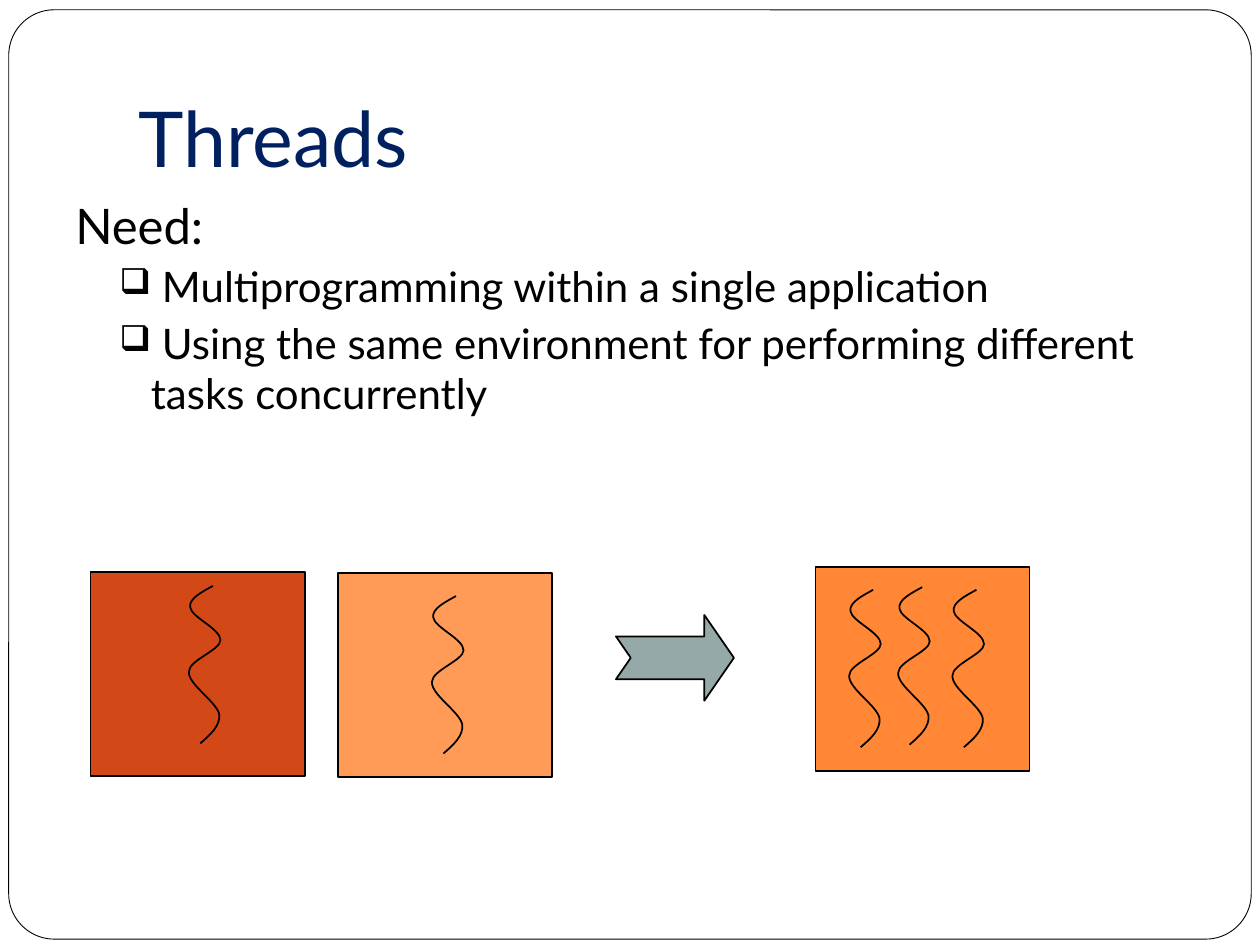
from lxml.etree import SubElement
from pptx import Presentation
from pptx.dml.color import RGBColor
from pptx.enum.shapes import MSO_SHAPE as Shape
from pptx.enum.text import MSO_ANCHOR as Anchor
from pptx.oxml.ns import qn
from pptx.util import Pt

BLACK = RGBColor(0x00, 0x00, 0x00)
WHITE = RGBColor(0xFF, 0xFF, 0xFF)
NAVY = RGBColor(0x00, 0x20, 0x60)
RUST = RGBColor(0xD3, 0x48, 0x17)
PEACH = RGBColor(0xFF, 0x9B, 0x57)
ORANGE = RGBColor(0xFF, 0x87, 0x35)
GREY = RGBColor(0x96, 0xA9, 0xA9)
FONT = "Lato"

# Content
TITLE = "Threads"
LEAD = "Need:"
NEEDS = [
    " Multiprogramming within a single application",
    " Using the same environment for performing different tasks concurrently",
]

# Processes: left, top, fill, and the start of each thread
BOX_W, BOX_H = 122.4, 116.6
TASKS = [
    (51.8, 326.9, RUST, [(121.7, 334.8)]),
    (193, 327.6, PEACH, [(260.6, 340.6)]),
    (466, 324, ORANGE, [(499, 337), (527, 335.5), (558, 337)]),
]

# Bezier points of a thread, three to a curve, from its start
WAVE = [
    (-6.5, 3.6), (-13.7, 7.2), (-13, 12.2),
    (-12.2, 18), (4.3, 24.5), (4.3, 31),
    (4.3, 36.7), (-13.7, 42.5), (-13.7, 49),
    (-14.4, 56.2), (2.2, 66.2), (3.6, 73.4),
    (4.3, 79.9), (-1.4, 85), (-7.2, 90),
]

deck = Presentation()
deck.slide_width, deck.slide_height = Pt(720), Pt(540)
slide = deck.slides.add_slide(deck.slide_layouts[6])
shapes = slide.shapes


def add_box(kind, x, y, w, h, fill, line=1):
    box = shapes.add_shape(kind, Pt(x), Pt(y), Pt(w), Pt(h))
    box.shadow.inherit = False
    box.fill.solid()
    box.fill.fore_color.rgb = fill
    box.line.color.rgb = BLACK
    box.line.width = Pt(line)
    return box


def add_frame(x, y, w, h):
    frame = shapes.add_textbox(Pt(x), Pt(y), Pt(w), Pt(h)).text_frame
    frame.word_wrap = True
    return frame


def style(para, size, color):
    font = para.font
    font.name, font.size = FONT, Pt(size)
    font.color.rgb = color


def indent(para, left, first):
    props = para._p.get_or_add_pPr()
    props.set("marL", str(Pt(left)))
    props.set("indent", str(Pt(first)))
    return props


def add_thread(x, y):
    pen = shapes.build_freeform(Pt(x), Pt(y))
    pen.add_line_segments([(Pt(x + dx), Pt(y + dy)) for dx, dy in WAVE], close=False)
    wave = pen.convert_to_shape()
    wave.shadow.inherit = False
    wave.fill.background()
    wave.line.color.rgb = BLACK
    wave.line.width = Pt(1)
    # Turn each three line segments into one curve
    path = next(wave._element.iter(qn("a:path")))
    lines = path.findall(qn("a:lnTo"))
    for i in range(0, len(lines), 3):
        curve = SubElement(path, qn("a:cubicBezTo"))
        for line in lines[i:i + 3]:
            curve.append(line[0])
            path.remove(line)


# Slide border
border = add_box(Shape.ROUNDED_RECTANGLE, 5, 5.6, 710, 531, WHITE, 0.5)
border.adjustments[0] = 0.049

# Title
head = add_frame(72, 21.6, 612, 90)
head.vertical_anchor = Anchor.BOTTOM
head.margin_bottom = Pt(7.2)
head.text = TITLE
style(head.paragraphs[0], 44, NAVY)

# Needs
body = add_frame(36, 108, 643.7, 182)
body.text = LEAD
indent(body.paragraphs[0], 21.6, -21.6)
style(body.paragraphs[0], 28, BLACK)
for need in NEEDS:
    para = body.add_paragraph()
    para.text = need
    para.level = 1
    para.space_before = Pt(3.7)
    props = indent(para, 43.2, -18)
    tint = SubElement(props, qn("a:buClr"))
    SubElement(tint, qn("a:srgbClr"), val=str(BLACK))
    SubElement(props, qn("a:buSzPct"), val="85000")
    SubElement(props, qn("a:buChar"), char="❑")
    style(para, 24, BLACK)

# Processes with their threads
for x, y, fill, starts in TASKS:
    add_box(Shape.RECTANGLE, x, y, BOX_W, BOX_H, fill)
    for start in starts:
        add_thread(*start)

# Arrow from many processes to one
arrow = add_box(Shape.NOTCHED_RIGHT_ARROW, 352, 351.4, 67.4, 49, GREY)
arrow.adjustments[1] = 0.345

deck.save("out.pptx")
